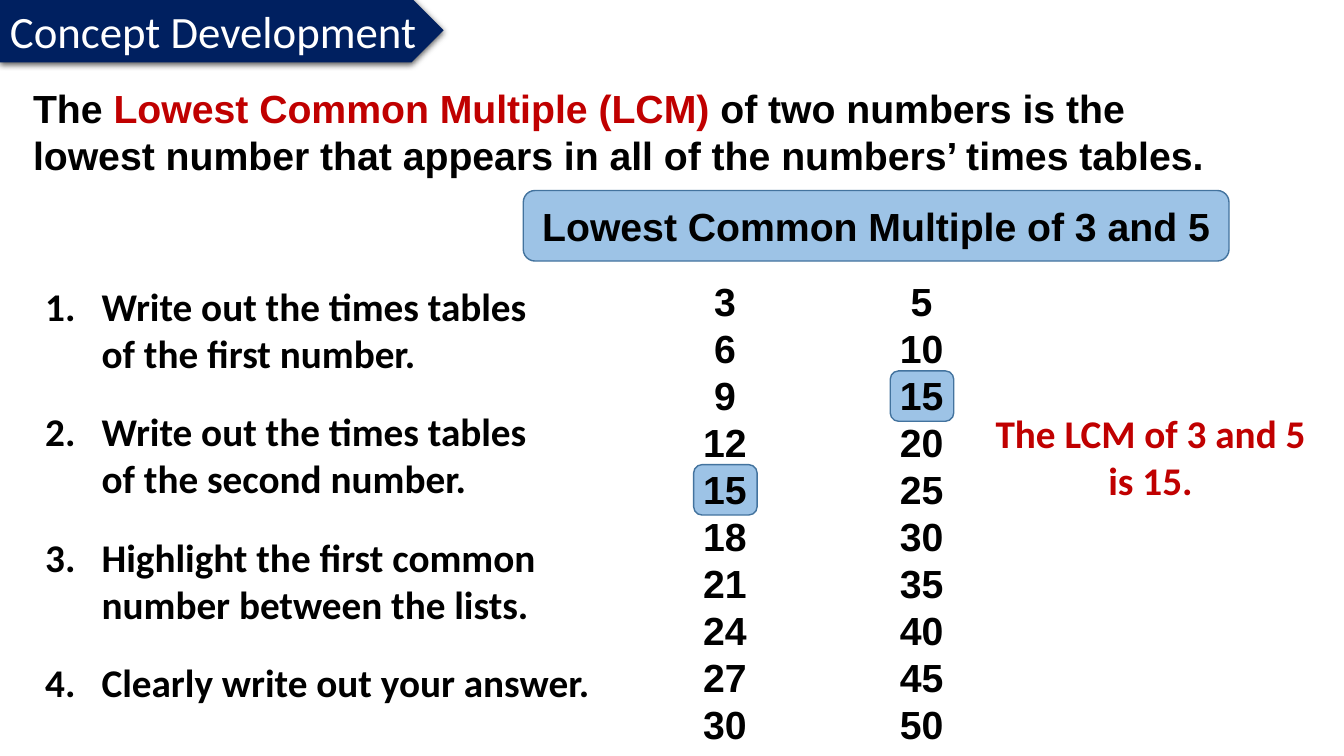
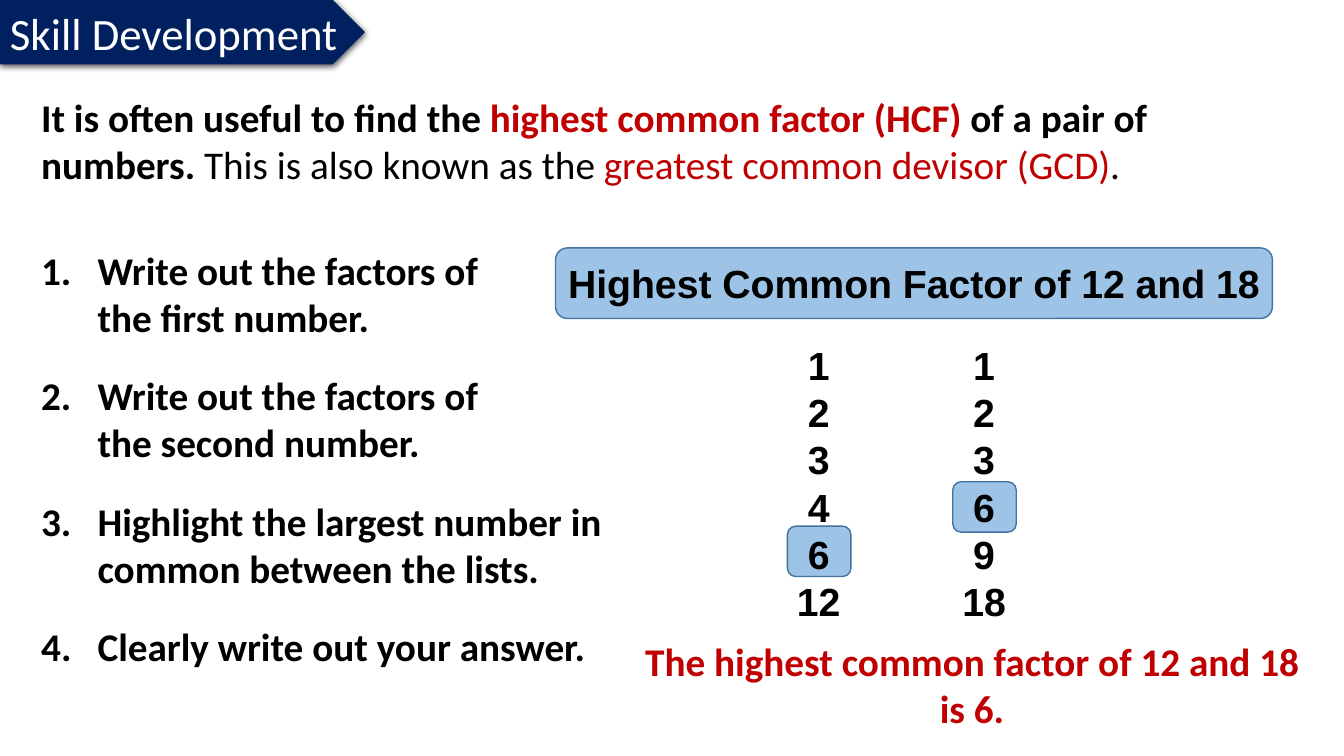
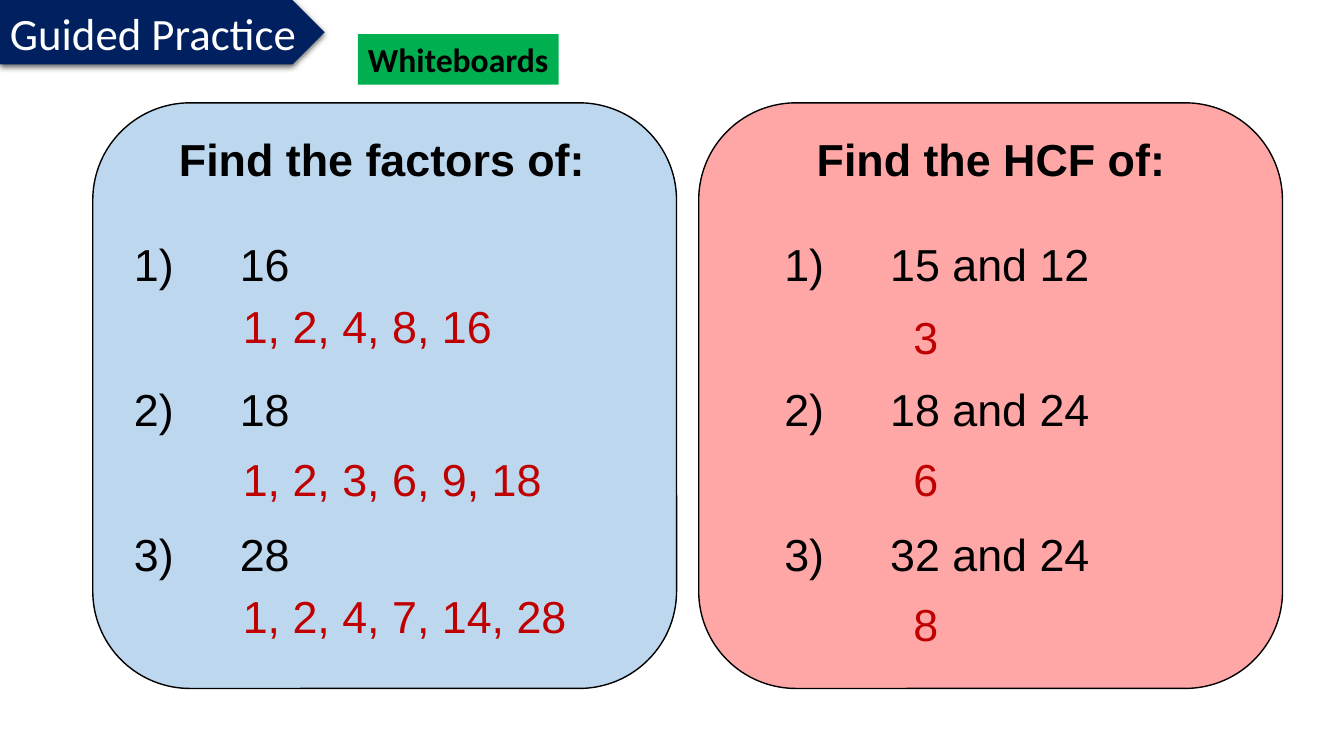
from lxml.etree import SubElement
from pptx import Presentation
from pptx.dml.color import RGBColor
from pptx.enum.shapes import MSO_SHAPE as SHAPE
from pptx.enum.text import MSO_AUTO_SIZE as AUTO, MSO_ANCHOR as ANCHOR, PP_ALIGN as ALIGN
from pptx.oxml.ns import qn
from pptx.util import Emu, Pt

PX = 9144  # 100 px to the inch
BLACK, WHITE, RED, NAVY = "000000", "FFFFFF", "C00000", "002060"
SKY, SKY_EDGE = "9DC3E6", "43739E"
PALE_BLUE, PINK, GREEN = "BDD7EE", "FFA7A7", "00B050"
HEADING, BODY = "Arial", "Calibri"


def px(length):
    return Emu(round(length * PX))


def rgb(code):
    return RGBColor.from_string(code)


def style(paragraph, size, face, color=BLACK, bold=False, align=ALIGN.LEFT, spacing=None):
    paragraph.alignment = align
    if spacing:
        paragraph.line_spacing = spacing
    font = paragraph.font
    font.size, font.name, font.bold = Pt(size), face, bold
    font.color.rgb = rgb(color)


def number(paragraph, scheme, indent, start=1):
    """Give the paragraph an automatic number in a hanging indent."""
    props = paragraph._p.get_or_add_pPr()
    props.set("marL", str(px(indent)))
    props.set("indent", str(-px(indent)))
    numbering = SubElement(props, qn("a:buAutoNum"), type=scheme)
    if start > 1:
        numbering.set("startAt", str(start))


def text_frame(slide, box):
    frame = slide.shapes.add_textbox(*map(px, box)).text_frame
    frame.word_wrap = True
    return frame


def add_text(slide, box, lines, size, face, **look):
    frame = text_frame(slide, box)
    for row, line in enumerate(lines):
        paragraph = frame.add_paragraph() if row else frame.paragraphs[0]
        paragraph.text = line
        style(paragraph, size, face, **look)


def add_panel(slide, kind, box, fill, edge=None):
    panel = slide.shapes.add_shape(kind, *map(px, box))
    panel.shadow.inherit = False
    panel.fill.solid()
    panel.fill.fore_color.rgb = rgb(fill)
    if edge:
        panel.line.color.rgb = rgb(edge)
        panel.line.width = Pt(1)
    else:
        panel.line.fill.background()
    return panel


def section_tag(slide, title, width, top=0):
    tag = add_panel(slide, SHAPE.PENTAGON, (0, top, width, 64), NAVY)
    effects = tag._element.spPr.find(qn("a:effectLst"))
    shadow = SubElement(effects, qn("a:outerShdw"), blurRad=str(Pt(4.5)), dist=str(Pt(1.5)),
                        dir="5400000", algn="ctr", rotWithShape="0")
    shade = SubElement(shadow, qn("a:srgbClr"), val=BLACK)
    SubElement(shade, qn("a:alpha"), val="63000")
    frame = tag.text_frame
    frame.word_wrap = False
    frame.auto_size = AUTO.SHAPE_TO_FIT_TEXT
    frame.text = title
    style(frame.paragraphs[0], 32, BODY, WHITE)


def definition(slide, box, face, parts):
    """Write one paragraph from (text, color, bold) parts."""
    paragraph = text_frame(slide, box).paragraphs[0]
    style(paragraph, 28, face)
    for words, color, bold in parts:
        run = paragraph.add_run()
        run.text = words
        run.font.color.rgb = rgb(color)
        run.font.bold = bold


def example_bar(slide, box, title):
    bar = add_panel(slide, SHAPE.ROUNDED_RECTANGLE, box, SKY, SKY_EDGE)
    frame = bar.text_frame
    frame.margin_left = frame.margin_right = 0
    frame.vertical_anchor = ANCHOR.MIDDLE
    frame.text = title
    style(frame.paragraphs[0], 28, HEADING, bold=True, align=ALIGN.CENTER)


def steps(slide, left, top, items):
    for index, (step, width) in enumerate(items):
        box = (left, top + index * 249 // 2, width, 104)
        paragraph = text_frame(slide, box).paragraphs[0]
        paragraph.text = step
        number(paragraph, "arabicPeriod", 56, index + 1)
        style(paragraph, 28, BODY, bold=True)


def number_list(slide, left, top, values, badge_top):
    """List the values in a column, with a badge behind the common one."""
    add_panel(slide, SHAPE.ROUNDED_RECTANGLE, (left + 71, badge_top, 63, 50), SKY, SKY_EDGE)
    add_text(slide, (left, top, 204, 47 * len(values) + 10), map(str, values), 28, HEADING,
             bold=True, align=ALIGN.CENTER)


def conclusion(slide, box, answer):
    add_text(slide, box, [answer], 28, BODY, color=RED, bold=True, align=ALIGN.CENTER)


def practice_panel(slide, left, fill, title, title_center, question_left, questions,
                   answer_left, answers):
    top = 102
    add_panel(slide, SHAPE.ROUNDED_RECTANGLE, (left, top, 579, 581), fill, BLACK)
    add_text(slide, (left + title_center - 244, top + 30, 488, 145), [title], 32, HEADING,
             bold=True, align=ALIGN.CENTER, spacing=0.9)
    frame = text_frame(slide, (left + question_left, top + 134, 488, 145))
    for index, question in enumerate(questions):
        paragraph = frame.add_paragraph() if index else frame.paragraphs[0]
        paragraph.text = question
        number(paragraph, "arabicParenR", 105)
        if index:
            paragraph.space_before = Pt(69)
        style(paragraph, 32, HEADING, spacing=0.9)
    for answer, drop in answers:
        add_text(slide, (left + answer_left, top + drop, 348, 63), [answer], 32, HEADING,
                 color=RED, spacing=0.9)


def lcm_slide(slide):
    section_tag(slide, "Concept Development", 440, top=-2)
    definition(slide, (23, 79, 1196, 104), HEADING, [
        ("The ", BLACK, True),
        ("Lowest Common Multiple (LCM) ", RED, True),
        ("of two numbers is the lowest number that appears in all of the numbers’ times tables.",
         BLACK, True)])
    example_bar(slide, (519, 189, 700, 70), "Lowest Common Multiple of 3 and 5")
    steps(slide, 35, 275, [
        ("Write out the times tables of the first number.", 500),
        ("Write out the times tables of the second number.", 510),
        ("Highlight the first common number between the lists.", 533),
        ("Clearly write out your answer.", 585)])
    number_list(slide, 617, 270, range(3, 31, 3), badge_top=461)
    number_list(slide, 812, 270, range(5, 51, 5), badge_top=368)
    conclusion(slide, (962, 401, 358, 104), "The LCM of 3 and 5 is 15.")


def hcf_slide(slide):
    section_tag(slide, "Skill Development", 362)
    definition(slide, (31, 88, 1187, 151), BODY, [
        ("It is often useful to find the ", BLACK, True),
        ("highest common factor (HCF) ", RED, True),
        ("of a pair of numbers.", BLACK, True),
        (" This is also known as the ", BLACK, False),
        ("greatest common devisor (GCD)", RED, False),
        (".", BLACK, False)])
    example_bar(slide, (551, 246, 711, 70), "Highest Common Factor of 12 and 18")
    steps(slide, 31, 239, [
        ("Write out the factors of the first number.", 500),
        ("Write out the factors of the second number.", 510),
        ("Highlight the largest number in common between the lists.", 616),
        ("Clearly write out your answer.", 585)])
    number_list(slide, 710, 334, (1, 2, 3, 4, 6, 12), badge_top=522)
    number_list(slide, 874, 334, (1, 2, 3, 6, 9, 18), badge_top=478)
    conclusion(slide, (625, 627, 678, 104), "The highest common factor of 12 and 18 is 6.")


def practice_slide(slide):
    section_tag(slide, "Guided Practice", 322)
    activity = add_panel(slide, SHAPE.RECTANGLE, (355, 34, 199, 50), GREEN)
    activity.text_frame.text = "Whiteboards"
    style(activity.text_frame.paragraphs[0], 24, BODY, bold=True)
    practice_panel(slide, 92, PALE_BLUE, "Find the factors of:", 287, 31, ["16", "18", "28"], 139,
                   [("1, 2, 4, 8, 16", 195), ("1, 2, 3, 6, 9, 18", 347),
                    ("1, 2, 4, 7, 14, 28", 483)])
    practice_panel(slide, 693, PINK, "Find the HCF of:", 290, 75,
                   ["15 and 12", "18 and 24", "32 and 24"], 203,
                   [("3", 206), ("6", 347), ("8", 491)])


def main():
    deck = Presentation()
    deck.slide_width, deck.slide_height = px(1333), px(750)
    for build in (lcm_slide, hcf_slide, practice_slide):
        build(deck.slides.add_slide(deck.slide_layouts[6]))
    deck.save("out.pptx")


if __name__ == "__main__":
    main()
